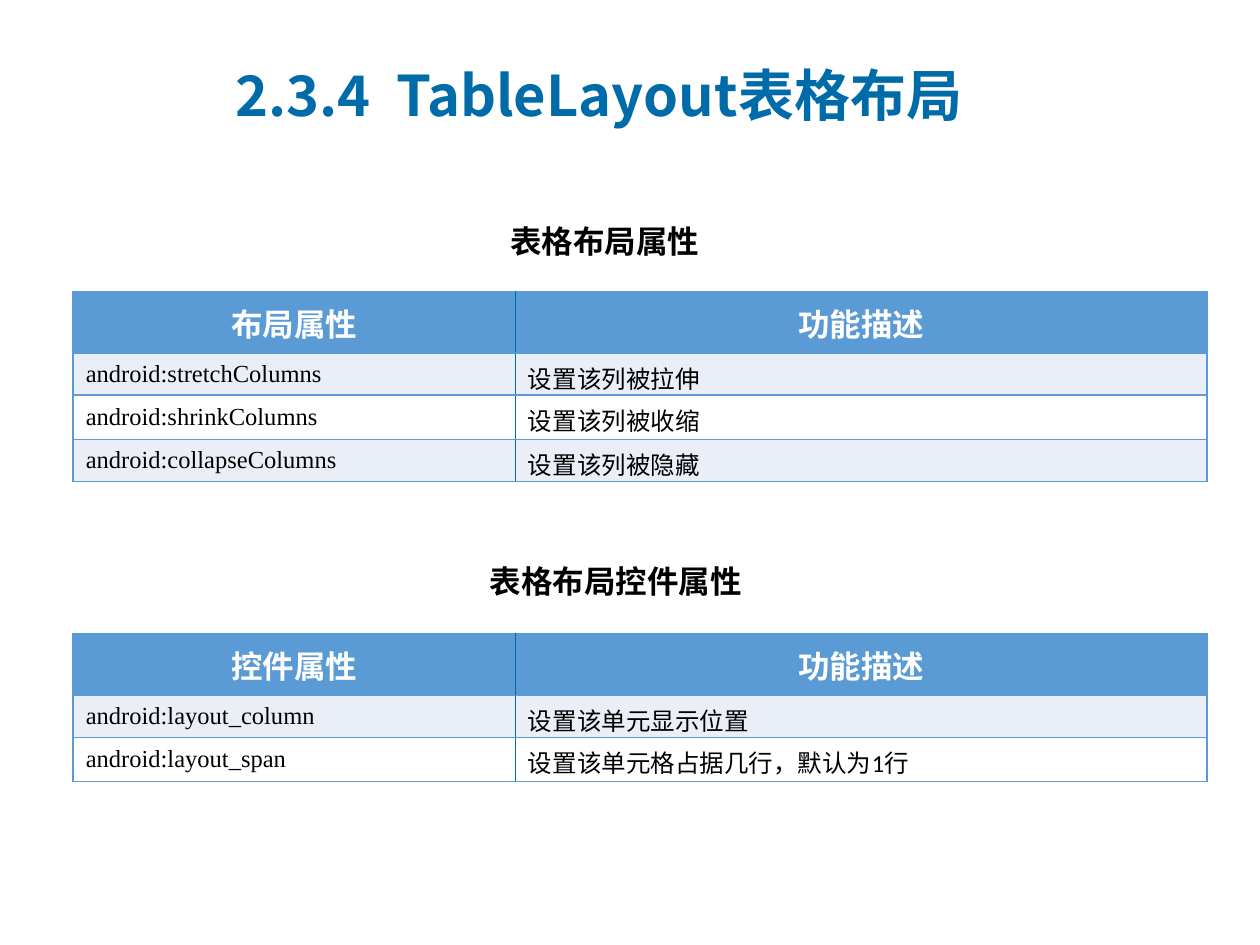
import pptx
import pptx.dml.color
import pptx.enum.text
import pptx.oxml
import pptx.oxml.ns
import pptx.util
from dataclasses import dataclass

Pt = pptx.util.Pt
ALIGN = pptx.enum.text.PP_ALIGN
ANCHOR = pptx.enum.text.MSO_ANCHOR


@dataclass(frozen=True)
class Theme:
    blue: str = "006BA9"
    head: str = "5B9BD5"
    band: str = "EAEFF7"
    white: str = "FFFFFF"
    black: str = "000000"
    sans: str = "Calibri"
    serif: str = "Times New Roman"
    cjk: str = "Noto Sans CJK SC"
    title: int = 32
    label: int = 18
    body: int = 14


THEME = Theme()
LEFT = 41.8
COLS = (252.7, 395.3)
HEAD_ROW = 35.3
BODY_ROWS = (23.8, 25.2)  # odd and even body rows


def rgb(color):
    return pptx.dml.color.RGBColor.from_string(color)


def add_run(para, text, size, color, font, bold=False):
    run = para.add_run()
    run.text = text
    run.font.size = Pt(size)
    run.font.bold = bold
    run.font.name = font
    run.font.color.rgb = rgb(color)
    # East Asian letters take their own typeface
    east = pptx.oxml.parse_xml(
        f'<a:ea {pptx.oxml.ns.nsdecls("a")} typeface="{THEME.cjk}"/>')
    run.font._element.find(pptx.oxml.ns.qn("a:latin")).addnext(east)


def add_text(slide, box, text, size, color, font, wrap=False):
    frame = slide.shapes.add_textbox(*map(Pt, box)).text_frame
    frame.word_wrap = wrap
    if wrap:
        frame.vertical_anchor = ANCHOR.MIDDLE
    add_run(frame.paragraphs[0], text, size, color, font, True)


def set_edges(cell, colors):
    props = cell._tc.get_or_add_tcPr()
    for spot, (side, color) in enumerate(zip("LRTB", colors)):
        props.insert(spot, pptx.oxml.parse_xml(
            f'<a:ln{side} {pptx.oxml.ns.nsdecls("a")} w="{Pt(1)}">'
            f'<a:solidFill><a:srgbClr val="{color}"/></a:solidFill>'
            f'</a:ln{side}>'))


def fill_cell(cell, text, row, col):
    top = row == 0
    cell.vertical_anchor = ANCHOR.MIDDLE
    cell.fill.solid()
    shade = THEME.head if top else (THEME.white, THEME.band)[row % 2]
    cell.fill.fore_color.rgb = rgb(shade)
    para = cell.text_frame.paragraphs[0]
    if top:
        para.alignment = ALIGN.CENTER
        add_run(para, text, THEME.label, THEME.white, THEME.sans, True)
    else:
        font = THEME.sans if col else THEME.serif
        add_run(para, text, THEME.body, THEME.black, font)
    # The line between the two columns is darker
    sides = (THEME.blue, THEME.head) if col else (THEME.head, THEME.blue)
    set_edges(cell, sides + (THEME.head, THEME.head))


def add_grid(slide, top, rows):
    highs = [HEAD_ROW] + [BODY_ROWS[i % 2] for i in range(len(rows) - 1)]
    table = slide.shapes.add_table(
        len(rows), len(COLS), Pt(LEFT), Pt(top),
        Pt(sum(COLS)), Pt(sum(highs))).table
    for col, width in enumerate(COLS):
        table.columns[col].width = Pt(width)
    for row, (high, texts) in enumerate(zip(highs, rows)):
        table.rows[row].height = Pt(high)
        for col, text in enumerate(texts):
            fill_cell(table.cell(row, col), text, row, col)


def main():
    deck = pptx.Presentation()
    deck.slide_width, deck.slide_height = Pt(720), Pt(540)
    slide = deck.slides.add_slide(deck.slide_layouts[6])

    # Title
    add_text(slide, (127.4, 31.7, 555.8, 43.9), "2.3.4  TableLayout表格布局",
             THEME.title, THEME.blue, THEME.cjk, wrap=True)

    # Layout attributes
    add_text(slide, (284.4, 123.1, 124.6, 28.8), "表格布局属性",
             THEME.label, THEME.black, THEME.sans)
    add_grid(slide, 166.5, [
        ("布局属性", "功能描述"),
        ("android:stretchColumns", "设置该列被拉伸"),
        ("android:shrinkColumns", "设置该列被收缩"),
        ("android:collapseColumns", "设置该列被隐藏"),
    ])

    # Attributes of the controls inside the layout
    add_text(slide, (272.9, 317.5, 160.6, 28.8), "表格布局控件属性",
             THEME.label, THEME.black, THEME.sans)
    add_grid(slide, 362, [
        ("控件属性", "功能描述"),
        ("android:layout_column", "设置该单元显示位置"),
        ("android:layout_span", "设置该单元格占据几行，默认为1行"),
    ])

    deck.save("out.pptx")


if __name__ == "__main__":
    main()
